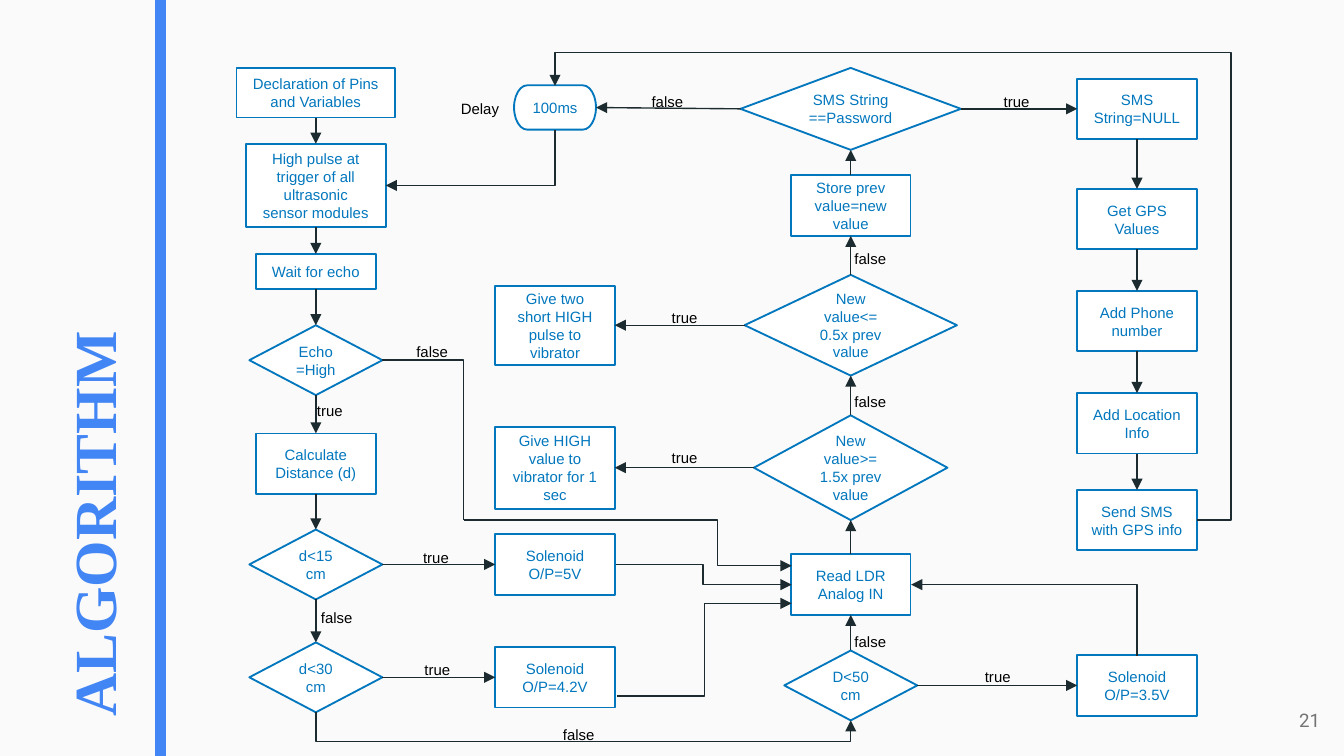
from pptx import Presentation
from pptx.dml.color import RGBColor as Rgb
from pptx.enum.shapes import MSO_CONNECTOR as Conn, MSO_SHAPE as Geo
from pptx.enum.text import MSO_ANCHOR as Anchor, PP_ALIGN as Align
from pptx.oxml.ns import qn
from pptx.util import Inches, Pt
from lxml.etree import SubElement as Sub

WIDE = 10
HIGH = WIDE * 9 / 16
HUE = {"back": "FAFAFA", "white": "FFFFFF", "edge": "0277BD", "wire": "1C2B2F",
       "black": "000000", "accent": "4285F4", "page": "737373"}
COL = {"sense": 2.35, "act": 4.13, "check": 6.33, "send": 8.46}
TOP, LEFT, BASE, RIGHT = range(4)
CELL, GEM = (0.89, 0.45), (0.99, 0.52)
BOX, TEST, PILL = Geo.RECTANGLE, Geo.FLOWCHART_DECISION, Geo.FLOWCHART_TERMINATOR

NODES = {
    "sense": [
        ("pins", 0.69, (1.18, 0.37), BOX, "Declaration of Pins and Variables"),
        ("pulse", 1.38, (1.04, 0.62), BOX,
         "High pulse at trigger of all ultrasonic sensor modules"),
        ("wait", 2.02, (0.89, 0.26), BOX, "Wait for echo"),
        ("echo", 2.68, GEM, TEST, "Echo=High"),
        ("calc", 3.45, CELL, BOX, "Calculate Distance (d)"),
        ("near", 4.2, GEM, TEST, "d<15cm"),
        ("mid", 5.04, GEM, TEST, "d<30cm")],
    "act": [
        ("delay", 0.8, (0.61, 0.33), PILL, "100ms"),
        ("short", 2.42, (0.89, 0.59), BOX, "Give two short HIGH pulse to vibrator"),
        ("long", 3.48, (0.89, 0.61), BOX, "Give HIGH value to vibrator for 1 sec"),
        ("five", 4.2, CELL, BOX, "Solenoid O/P=5V"),
        ("four", 5.04, CELL, BOX, "Solenoid O/P=4.2V")],
    "check": [
        ("pass", 0.81, (1.64, 0.61), TEST, "SMS String\n==Password "),
        ("store", 1.53, CELL, BOX, "Store prev value=new value"),
        ("fall", 2.42, (1.58, 0.75), TEST, "New value<= 0.5x prev value"),
        ("rise", 3.48, (1.44, 0.78), TEST, "New value>=\n1.5x prev value"),
        ("read", 4.35, CELL, BOX, "Read LDR\nAnalog IN"),
        ("far", 5.1, GEM, TEST, "D<50cm")],
    "send": [
        ("null", 0.81, CELL, BOX, "SMS String=NULL"),
        ("gps", 1.63, CELL, BOX, "Get GPS Values"),
        ("phone", 2.39, CELL, BOX, "Add Phone number"),
        ("place", 3.15, CELL, BOX, "Add Location Info"),
        ("text", 3.87, CELL, BOX, "Send SMS with GPS info"),
        ("three", 5.1, CELL, BOX, "Solenoid O/P=3.5V")],
}
CHAINS = [
    (BASE, TOP, ["pins", "pulse", "wait", "echo", "calc", "near", "mid"]),
    (TOP, BASE, ["far", "read", "rise", "fall", "store", "pass"]),
    (BASE, TOP, ["null", "gps", "phone", "place", "text"]),
    (RIGHT, LEFT, ["near", "five"]),
    (RIGHT, LEFT, ["mid", "four"]),
    (RIGHT, LEFT, ["far", "three"]),
    (RIGHT, LEFT, ["pass", "null"]),
    (LEFT, RIGHT, ["pass", "delay"]),
    (LEFT, RIGHT, ["fall", "short"]),
    (LEFT, RIGHT, ["rise", "long"]),
]
TAGS = {
    "true": (0.4, [(7.37, 0.64), (2.26, 2.94), (3.05, 4.03), (3.06, 4.87),
                   (7.23, 4.92), (4.9, 3.29), (4.9, 2.25)]),
    "false": (0.44, [(4.75, 0.64), (3, 2.5), (2.29, 4.48), (4.09, 5.35),
                     (6.26, 4.66), (6.26, 2.87), (6.26, 1.81)]),
    "Delay": (0.49, [(3.33, 0.69)]),
}


def color(key):
    return Rgb.from_string(HUE[key])


def write(frame, text, hue, size=8, font="Arial", bold=None, align=None):
    frame.text = text
    for para in frame.paragraphs:
        para.alignment = align
        for run in para.runs:
            run.font.name, run.font.size, run.font.bold = font, Pt(size), bold
            run.font.color.rgb = color(hue)


def block(slide, geo, spot, fill, edge, width):
    shape = slide.shapes.add_shape(geo, *map(Inches, spot))
    shape.shadow.inherit = False
    shape.fill.solid()
    shape.fill.fore_color.rgb = color(fill)
    shape.line.color.rgb = color(edge)
    shape.line.width = Pt(width)
    return shape


def node(slide, x, y, size, geo, text):
    w, h = size
    shape = block(slide, geo, (x - w / 2, y - h / 2, w, h), "white", "edge", 1)
    frame = shape.text_frame
    frame.word_wrap = True
    frame.vertical_anchor = Anchor.MIDDLE
    write(frame, text, "edge", align=Align.CENTER)
    return shape


def label(slide, spot, text, hue, wrap=False, **style):
    box = slide.shapes.add_textbox(*map(Inches, spot))
    box.text_frame.word_wrap = wrap
    write(box.text_frame, text, hue, **style)
    return box


def ink(wire, head=True):
    wire.line.color.rgb = color("wire")
    wire.line.width = Pt(0.75)
    props = wire.element.spPr
    if head:
        Sub(props.find(qn("a:ln")), qn("a:tailEnd"), type="triangle")
    Sub(props, qn("a:effectLst"))


def link(slide, start, out, end, into):
    wire = slide.shapes.add_connector(Conn.STRAIGHT, 0, 0, 0, 0)
    wire.begin_connect(start, out)
    wire.end_connect(end, into)
    ink(wire)


def bend(slide, start, end, kind, turns=(), down=False, head=True):
    (x, y), (u, v) = start, end
    run, rise = (v - y, x - u) if down else (u - x, v - y)
    cx, cy = (x + u) / 2, (y + v) / 2
    ends = (cx - run / 2, cy - rise / 2, cx + run / 2, cy + rise / 2)
    wire = slide.shapes.add_connector(Conn.ELBOW, *map(Inches, ends))
    props = wire.element.spPr
    if down:
        props.find(qn("a:xfrm")).set("rot", "5400000")
    geom = props.find(qn("a:prstGeom"))
    geom.set("prst", f"bentConnector{kind}")
    guides = geom.find(qn("a:avLst"))
    for i, (turn, span) in enumerate(zip(turns, (run, rise)), 1):
        Sub(guides, qn("a:gd"), name=f"adj{i}",
            fmla=f"val {round(turn / span * 100000)}")
    ink(wire, head)


def bends(slide):
    sense, act, check, send = COL.values()
    port = 5.89
    bend(slide, (8.91, 3.87), (act, 0.64), 4, (0.25, -3.48))
    bend(slide, (send, 4.88), (6.78, 4.35), 2, down=True)
    bend(slide, (sense, 5.3), (check, 5.36), 3, (0.22,), down=True)
    bend(slide, (4.59, 5.18), (port, 4.49), 3, (0.65,))
    bend(slide, (2.84, 2.68), (3.45, 3.87), 2, head=False)
    bend(slide, (3.45, 3.87), (port, 4.21), 3, (1.89,))
    bend(slide, (4.58, 4.2), (port, 4.35), 3, (0.65,))
    bend(slide, (act, 0.97), (2.87, 1.38), 2, down=True)


def main():
    deck = Presentation()
    deck.slide_width, deck.slide_height = Inches(WIDE), Inches(HIGH)
    slide = deck.slides.add_slide(deck.slide_layouts[6])
    slide.background.fill.solid()
    slide.background.fill.fore_color.rgb = color("back")
    nodes = {key: node(slide, COL[col], *rest)
             for col, stack in NODES.items() for key, *rest in stack}
    for out, into, chain in CHAINS:
        for start, end in zip(chain, chain[1:]):
            link(slide, nodes[start], out, nodes[end], into)
    bends(slide)
    for text, (width, spots) in TAGS.items():
        for x, y in spots:
            label(slide, (x, y, width, 0.24), text, "black")
    title = label(slide, (-1.89, 2.42, 5.27, 0.75), "ALGORITHM", "accent",
                  wrap=True, size=32, font="Times New Roman", bold=True)
    title.rotation = 270
    block(slide, BOX, (1.17, 0, 0.05, HIGH), "accent", "accent", 2)
    page = label(slide, (9.32, 5.14, 0.6, 0.43), "21", "page", wrap=True,
                 size=10, font="Roboto", align=Align.RIGHT)
    page.text_frame.vertical_anchor = Anchor.MIDDLE
    deck.save("out.pptx")


if __name__ == "__main__":
    main()
